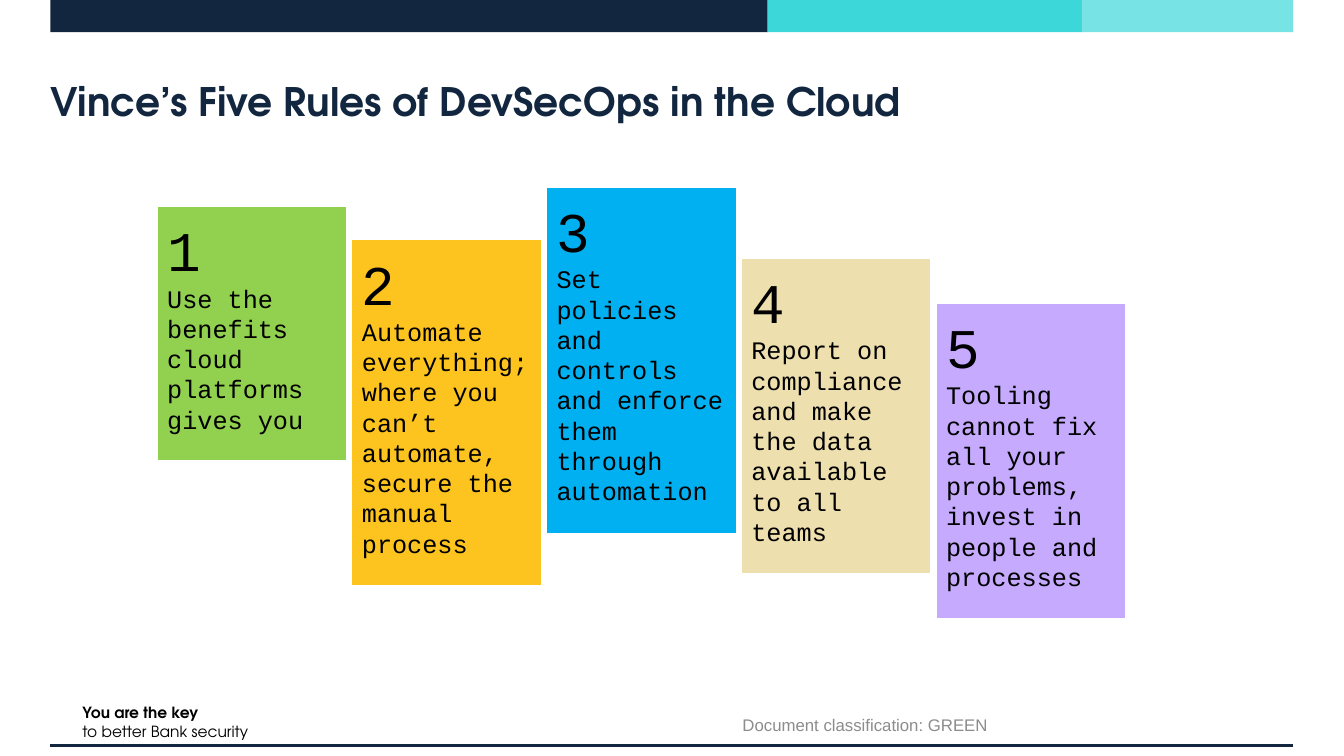
from lxml.etree import SubElement
from pptx import Presentation
from pptx.dml.color import RGBColor
from pptx.enum.shapes import MSO_CONNECTOR as Connector, MSO_SHAPE as Shape
from pptx.enum.text import MSO_ANCHOR as Anchor, MSO_AUTO_SIZE as AutoSize, PP_ALIGN as Align
from pptx.oxml.ns import qn
from pptx.util import Pt

COLORS = {
    "navy": "12273F", "teal": "3CD7D9", "aqua": "77E3E4",
    "black": "000000", "white": "FFFFFF", "gray": "8C8C8C",
    "green": "92D050", "amber": "FDC41F", "blue": "00B0F0",
    "sand": "EEDFAF", "violet": "C5AAFE",
}
BRAND, MONO, PLAIN = "TeX Gyre Adventor", "Courier New", "Arial"

BANDS = [(36, 512.4, "navy"), (548.4, 225, "teal"), (773.4, 150.4, "aqua")]
RULES = [
    (147.6, 181.4, "green", "Use the benefits cloud platforms gives you"),
    (171.4, 247, "amber",
     "Automate everything; where you can’t automate, secure the manual process"),
    (133.9, 247, "blue",
     "Set policies and controls and enforce them through automation"),
    (184.5, 225.2, "sand",
     "Report on compliance and make the data available to all teams"),
    (216.7, 225.2, "violet",
     "Tooling cannot fix all your problems, invest in people and processes"),
]
CARD_LEFT, CARD_STEP, CARD_WIDTH = 112.3, 139.1, 135.4


def rgb(name):
    return RGBColor.from_string(COLORS[name])


def write(p, text, font=PLAIN, size=18, color="black", bold=False,
          align=Align.LEFT, spacing=None):
    p.alignment = align
    p.space_before = p.space_after = Pt(0)
    if spacing:
        p.line_spacing = Pt(spacing)
    r = p.add_run()
    r.text = text
    r.font.name, r.font.size, r.font.bold = font, Pt(size), bold
    r.font.color.rgb = rgb(color)


class Deck:
    """Holds the style and the current slide, and draws each kind of element."""

    def __init__(self, width, height):
        self.prs = Presentation()
        self.prs.slide_width, self.prs.slide_height = Pt(width), Pt(height)
        self.s = self.prs.slides.add_slide(self.prs.slide_layouts[5])

    def title(self, text, x, y, w, h):
        sp = self.s.shapes.title
        sp.left, sp.top, sp.width, sp.height = Pt(x), Pt(y), Pt(w), Pt(h)
        tf = sp.text_frame
        tf.margin_left = tf.margin_right = tf.margin_top = tf.margin_bottom = 0
        tf.vertical_anchor, tf.auto_size = Anchor.MIDDLE, AutoSize.NONE
        write(tf.paragraphs[0], text, font=BRAND, size=28, color="navy", bold=True)

    def rect(self, x, y, w, h, fill, line=None):
        sp = self.s.shapes.add_shape(Shape.RECTANGLE, Pt(x), Pt(y), Pt(w), Pt(h))
        sp.shadow.inherit = False
        sp.fill.solid()
        sp.fill.fore_color.rgb = rgb(fill)
        if line:
            sp.line.color.rgb = rgb(line)
            sp.line.width = Pt(0.75)
        else:
            sp.line.fill.background()
        return sp

    def card(self, number, text, x, y, w, h, fill):
        tf = self.rect(x, y, w, h, fill, line="white").text_frame
        tf.word_wrap, tf.vertical_anchor = True, Anchor.TOP
        write(tf.paragraphs[0], str(number), font=MONO, size=40, spacing=51)
        write(tf.add_paragraph(), text, font=MONO, spacing=21.6)

    def text(self, lines, x, y, w, h, wrap=True, anchor=Anchor.TOP):
        tf = self.s.shapes.add_textbox(Pt(x), Pt(y), Pt(w), Pt(h)).text_frame
        tf.word_wrap, tf.vertical_anchor = wrap, anchor
        for i, (text, style) in enumerate(lines):
            write(tf.add_paragraph() if i else tf.paragraphs[0], text, **style)

    def line(self, x1, y1, x2, y2, color, width):
        c = self.s.shapes.add_connector(
            Connector.STRAIGHT, Pt(x1), Pt(y1), Pt(x2), Pt(y2))
        c.line.color.rgb = rgb(color)
        c.line.width = Pt(width)
        SubElement(c._element.spPr, qn("a:effectLst"))


def main():
    deck = Deck(960, 540)
    for x, w, fill in BANDS:
        deck.rect(x, 0, w, 23, fill)
    deck.text([("You are the key", dict(font=BRAND, size=11, bold=True)),
               ("to better Bank security", dict(font=BRAND, size=11))],
              51.8, 499, 134.6, 33.8, wrap=False)
    deck.line(36, 532.8, 923.8, 532.8, "navy", 2.25)
    deck.title("Vince’s Five Rules of DevSecOps in the Cloud", 36, 36, 887.8, 72)
    deck.text([("Document classification: GREEN",
                dict(size=12, color="gray", align=Align.CENTER))],
              396, 502.6, 444.2, 30.2, anchor=Anchor.MIDDLE)
    for i, (y, h, fill, text) in enumerate(RULES):
        deck.card(i + 1, text, CARD_LEFT + i * CARD_STEP, y, CARD_WIDTH, h, fill)
    deck.prs.save("out.pptx")


if __name__ == "__main__":
    main()
